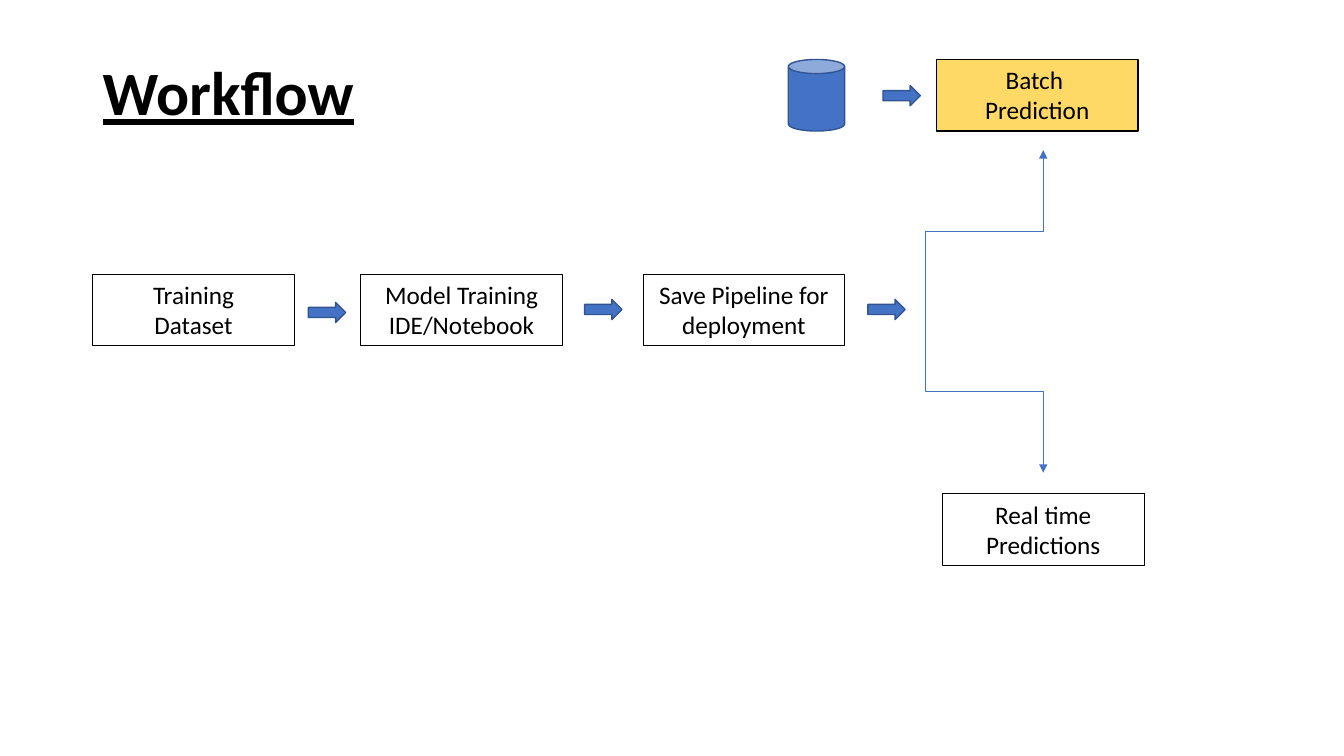
from pptx import Presentation, util as u
from pptx.dml.color import RGBColor
from pptx.enum import shapes, text
from pptx.oxml.ns import qn
from lxml import etree

BLACK = RGBColor(0x00, 0x00, 0x00)
BLUE = RGBColor(0x44, 0x72, 0xC4)
DARK_BLUE = RGBColor(0x32, 0x54, 0x91)
GOLD = RGBColor(0xFF, 0xD9, 0x66)
FONT = "Calibri"

# Grid of square cells: 133.33 columns by 75 rows
CELL = u.Inches(0.1)
STAGE_W, STAGE_H = 20, 7.1
ARROW_W, ARROW_H = 3.7, 2


def cells(*counts):
    return [round(count * CELL) for count in counts]


def write(frame, wording, size=18, bold=False, underline=False,
          align=text.PP_ALIGN.CENTER, spacing=None):
    frame.word_wrap = True
    frame.vertical_anchor = text.MSO_ANCHOR.MIDDLE
    for number, line in enumerate(wording.split("\n")):
        paragraph = frame.add_paragraph() if number else frame.paragraphs[0]
        paragraph.alignment = align
        paragraph.line_spacing = spacing
        run = paragraph.add_run()
        run.text = line
        run.font.name, run.font.size = FONT, u.Pt(size)
        run.font.bold, run.font.underline = bold, underline
        run.font.color.rgb = BLACK


def block(slide, preset, box, fill, outline, weight):
    part = slide.shapes.add_shape(preset, *cells(*box))
    part.shadow.inherit = False
    if fill is None:
        part.fill.background()
    else:
        part.fill.solid()
        part.fill.fore_color.rgb = fill
    part.line.color.rgb = outline
    part.line.width = u.Pt(weight)
    return part


def stage(slide, left, top, wording, fill=None):
    box = (left, top, STAGE_W, STAGE_H)
    part = block(slide, shapes.MSO_SHAPE.RECTANGLE, box, fill, BLACK, 0.75)
    write(part.text_frame, wording)
    part.text_frame.vertical_anchor = text.MSO_ANCHOR.TOP
    part.text_frame.auto_size = text.MSO_AUTO_SIZE.SHAPE_TO_FIT_TEXT


def arrow(slide, left, top):
    block(slide, shapes.MSO_SHAPE.RIGHT_ARROW,
          (left, top, ARROW_W, ARROW_H), BLUE, DARK_BLUE, 1)


def branch(slide, left, top, across, drop):
    """Elbow that leaves vertically, crosses halfway and ends in an arrowhead."""
    middle_x, middle_y = left + across / 2, top + drop / 2
    half_length = abs(drop) / 2
    half_width = across / 2 if drop > 0 else -across / 2
    # Laid out flat around its centre, then turned upright
    elbow = slide.shapes.add_connector(
        shapes.MSO_CONNECTOR.ELBOW,
        *cells(middle_x + half_length, middle_y - half_width,
               middle_x - half_length, middle_y + half_width))
    elbow.line.color.rgb = BLUE
    elbow.line.width = u.Pt(0.5)
    properties = elbow._element.spPr
    turn = 270 if drop > 0 else 90
    properties.find(qn("a:xfrm")).set("rot", str(turn * 60000))
    etree.SubElement(properties.find(qn("a:ln")), qn("a:tailEnd"), type="triangle")
    etree.SubElement(properties, qn("a:effectLst"))


def title(slide, box):
    heading = slide.shapes.add_textbox(*cells(*box))
    write(heading.text_frame, "Workflow", size=44, bold=True, underline=True,
          align=text.PP_ALIGN.LEFT, spacing=0.9)


def training_row(slide, left, top):
    stage(slide, left, top, "Training\nDataset")
    stage(slide, left + 26.6, top, "Model Training IDE/Notebook")
    stage(slide, left + 54.6, top, "Save Pipeline for deployment")
    arrow(slide, left + 21.4, top + 2.8)
    for offset in (48.8, 76.9):
        arrow(slide, left + offset, top + 2.5)


def batch_row(slide, left, top):
    block(slide, shapes.MSO_SHAPE.CAN, (left, top, 5.6, STAGE_H),
          BLUE, DARK_BLUE, 1)
    arrow(slide, left + 9.4, top + 2.6)
    stage(slide, left + 14.7, top, "Batch \nPrediction", fill=GOLD)


def fork(slide, left, top):
    branch(slide, left, top, 11.7, 16.1)
    branch(slide, left, top + 0.2, 11.7, -16.1)


def main():
    deck = Presentation()
    deck.slide_width, deck.slide_height = cells(133.33, 75)
    slide = deck.slides.add_slide(deck.slide_layouts[6])
    title(slide, (9.2, 4, 115, 11))
    training_row(slide, 9.2, 27.2)
    fork(slide, 91.8, 30.8)
    batch_row(slide, 78.2, 5.9)
    stage(slide, 93.5, 49, "Real time Predictions")
    deck.save("out.pptx")


if __name__ == "__main__":
    main()
